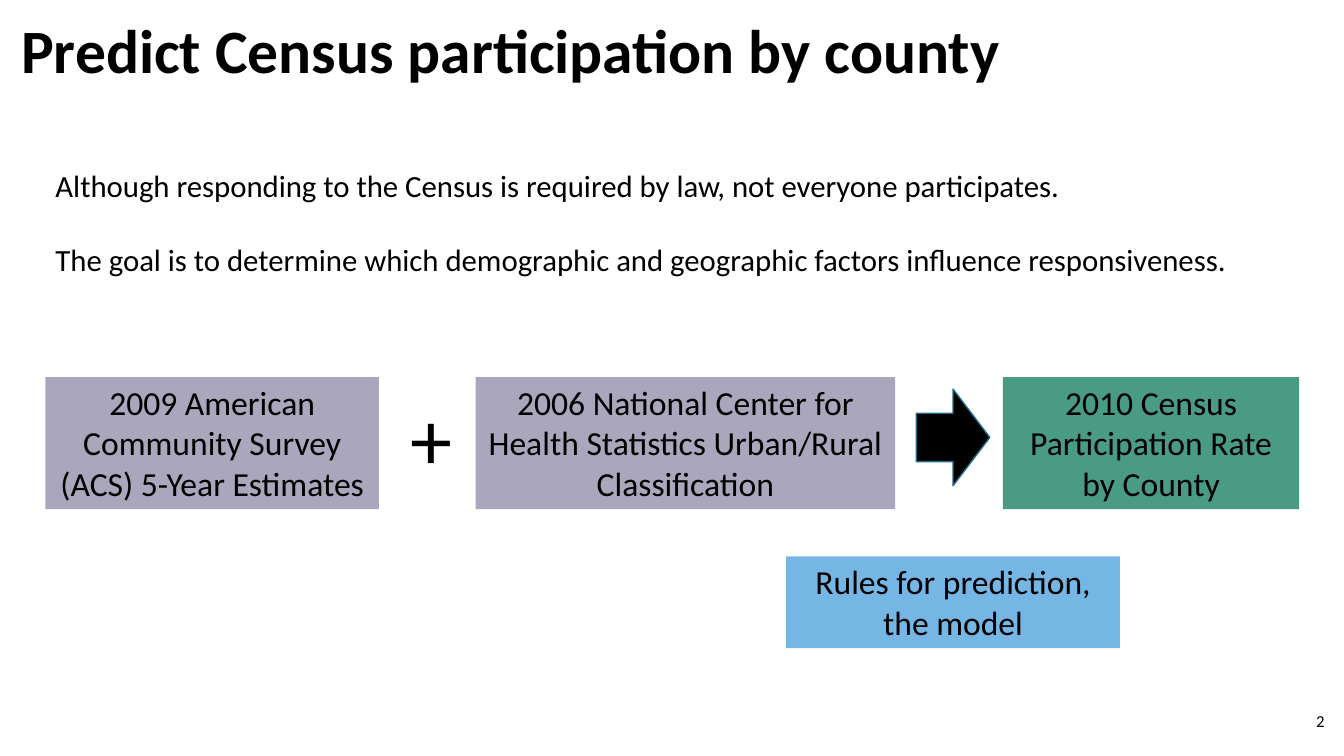
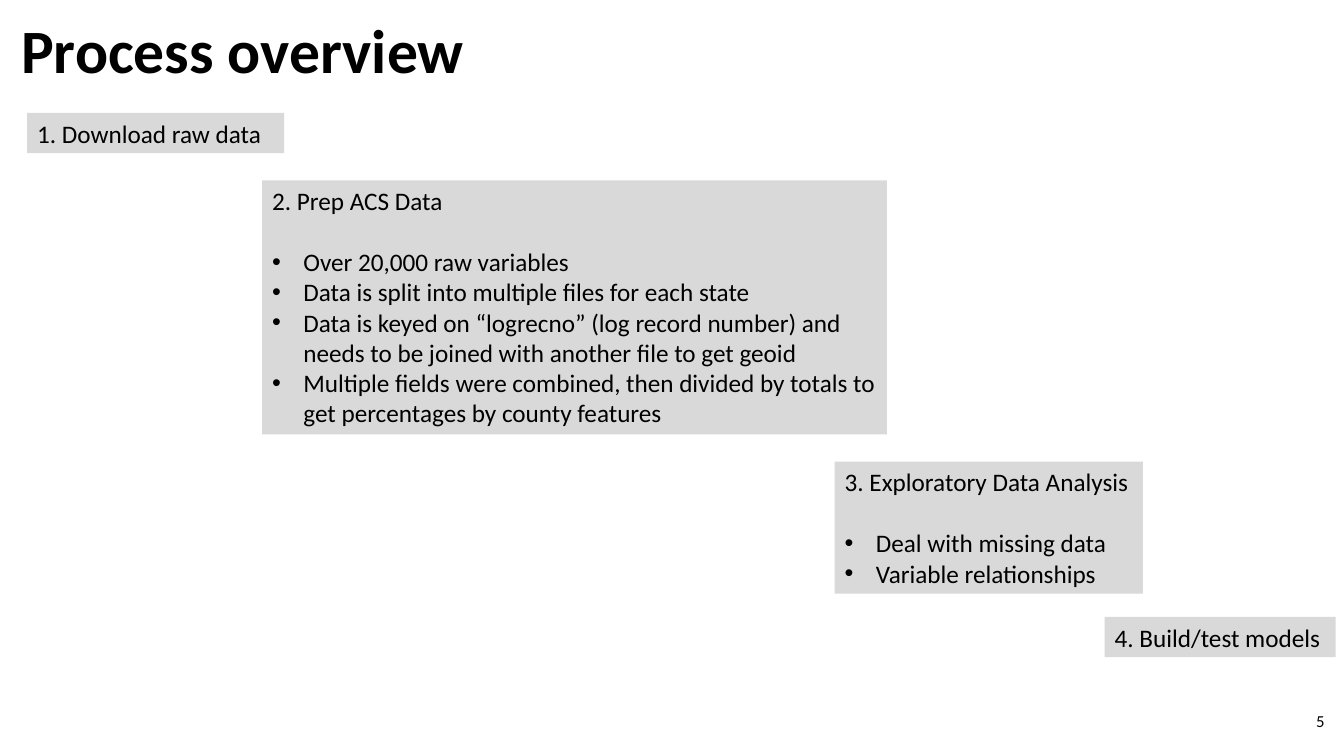
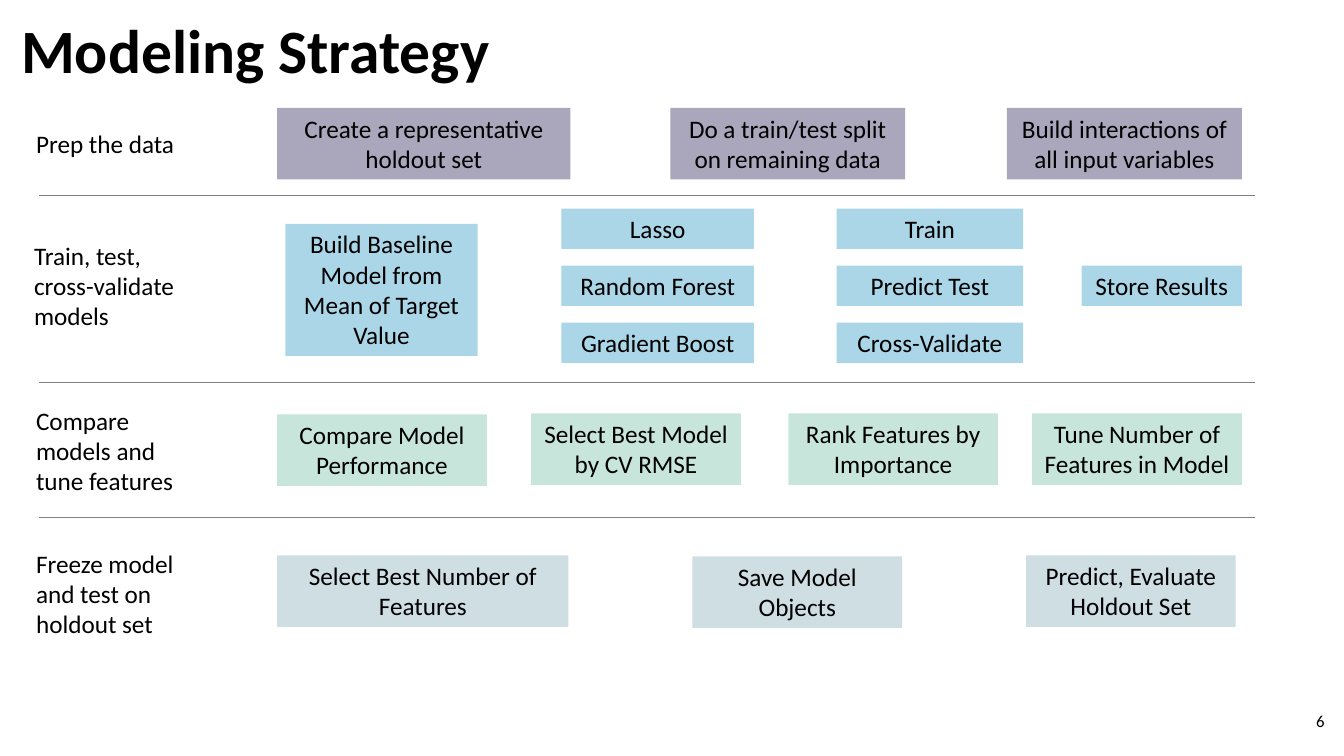
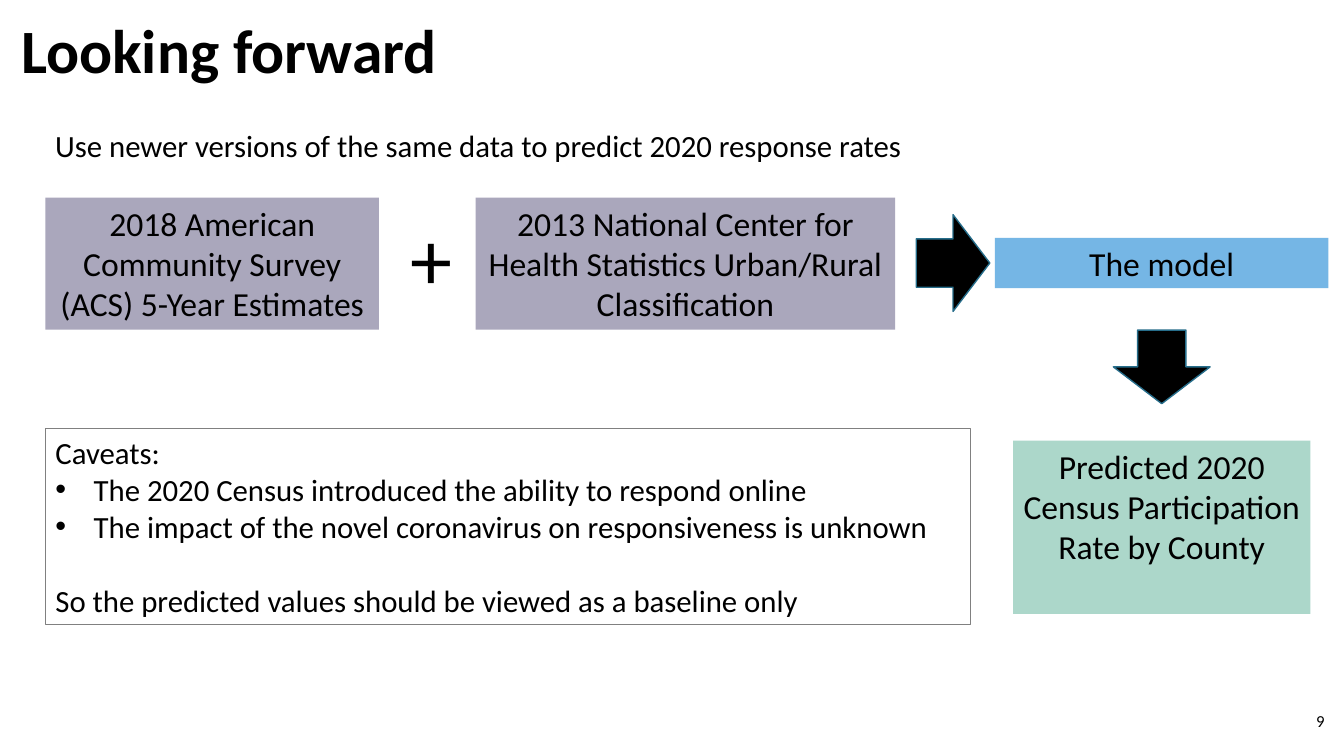
from dataclasses import dataclass
from typing import Optional

from lxml.etree import SubElement
from pptx import Presentation
from pptx.dml.color import RGBColor
from pptx.enum.shapes import MSO_CONNECTOR as Connector, MSO_SHAPE as Preset
from pptx.enum.text import MSO_ANCHOR as Anchor, MSO_AUTO_SIZE as AutoSize, PP_ALIGN as Align
from pptx.oxml.ns import qn
from pptx.slide import Slide
from pptx.util import Emu, Inches, Pt

BLACK = RGBColor(0x00, 0x00, 0x00)
MAUVE = RGBColor(0xAA, 0xA7, 0xBC)
GREEN = RGBColor(0x4A, 0x9B, 0x83)
SOFT_GREEN = RGBColor(0xAC, 0xD7, 0xCA)
PALE_GREEN = RGBColor(0xC8, 0xE5, 0xDC)
BLUE = RGBColor(0x75, 0xB6, 0xE5)
PALE_BLUE = RGBColor(0xAA, 0xD6, 0xE7)
MIST = RGBColor(0xCE, 0xDE, 0xE2)
LIGHT_GREY = RGBColor(0xD9, 0xD9, 0xD9)
GREY = RGBColor(0x80, 0x80, 0x80)
TEAL = RGBColor(0x26, 0x6D, 0x8A)

FONT = "Calibri"
LINE_HEIGHT = 1.22
SMALL, MEDIUM, LARGE = 18, 22, 24
TITLE_ONLY, ONE_BODY, TWO_BODIES = 5, 1, 3

prs = Presentation()
prs.slide_width, prs.slide_height = Inches(40 / 3), Inches(7.5)
CELL = prs.slide_width / 160


@dataclass(frozen=True)
class Area:
    col: float
    row: float
    cols: float
    rows: float

    def emu(self) -> tuple[Emu, ...]:
        return tuple(Emu(round(n * CELL)) for n in (self.col, self.row, self.cols, self.rows))


@dataclass(frozen=True)
class Line:
    text: str
    bullet: bool = False
    gap: bool = False


@dataclass(frozen=True)
class Box:
    area: Area
    lines: tuple[Line, ...]
    size: float = SMALL
    fill: Optional[RGBColor] = None
    border: Optional[RGBColor] = None
    align: Align = Align.CENTER
    hang: float = 0.31


@dataclass(frozen=True)
class Stage:
    label: str
    label_area: Area
    boxes: tuple[Box, ...]


TITLE_AREA = Area(1.32, 1.8, 138, 17.4)
NUMBER_AREA = Area(122.88, 83.4, 36, 4.8)


def lines(*texts: str) -> tuple[Line, ...]:
    return tuple(Line(t) for t in texts)


def add_run(p, text: str, size: float, bold: bool = False) -> None:
    r = p.add_run()
    r.text = text
    r.font.name, r.font.size, r.font.bold = FONT, Pt(size), bold
    r.font.color.rgb = BLACK


def set_bullet(p, bullet: bool, hang: float) -> None:
    pPr = p._p.get_or_add_pPr()
    indent = Inches(hang) if bullet else 0
    pPr.set("marL", str(indent))
    pPr.set("indent", str(-indent))
    if bullet:
        SubElement(pPr, qn("a:buFont")).set("typeface", "Arial")
        SubElement(pPr, qn("a:buChar")).set("char", "•")
    else:
        SubElement(pPr, qn("a:buNone"))


def fill_box(sp, box: Box) -> None:
    sp.left, sp.top, sp.width, sp.height = box.area.emu()
    if box.fill is not None:
        sp.fill.solid()
        sp.fill.fore_color.rgb = box.fill
    if box.border is not None:
        sp.line.color.rgb = box.border
        sp.line.width = Pt(0.75)
    tf = sp.text_frame
    tf.word_wrap, tf.auto_size, tf.vertical_anchor = True, AutoSize.NONE, Anchor.TOP
    for i, line in enumerate(box.lines):
        p = tf.add_paragraph() if i else tf.paragraphs[0]
        p.alignment = box.align
        p.space_before = Pt(round(box.size * LINE_HEIGHT, 1) if line.gap else 0)
        set_bullet(p, line.bullet, box.hang)
        add_run(p, line.text, box.size)


def add_text(s: Slide, box: Box):
    sp = s.shapes.add_textbox(*box.area.emu())
    fill_box(sp, box)
    return sp


def add_box(s: Slide, box: Box) -> None:
    sp = s.shapes.add_shape(Preset.RECTANGLE, *box.area.emu())
    sp.shadow.inherit = False
    sp.line.fill.background()
    fill_box(sp, box)


def add_arrow(s: Slide, col: float, row: float, rotation: float = 0) -> None:
    sp = s.shapes.add_shape(Preset.RIGHT_ARROW, *Area(col, row, 8.76, 11.52).emu())
    sp.rotation = rotation
    sp.shadow.inherit = False
    sp.fill.solid()
    sp.fill.fore_color.rgb = BLACK
    sp.line.color.rgb, sp.line.width = TEAL, Pt(1)


def add_rule(s: Slide, row: float) -> None:
    left, top, width, _ = Area(4.68, row, 144.72, 0).emu()
    rule = s.shapes.add_connector(Connector.STRAIGHT, left, top, left + width, top)
    rule.line.color.rgb, rule.line.width = GREY, Pt(0.5)
    SubElement(rule._element.spPr, qn("a:effectLst"))


def add_slide(title: str, number: int, layout: int, *bodies: Box) -> Slide:
    s = prs.slides.add_slide(prs.slide_layouts[layout])
    sp = s.shapes.title
    sp.left, sp.top, sp.width, sp.height = TITLE_AREA.emu()
    tf = sp.text_frame
    tf.word_wrap, tf.auto_size, tf.vertical_anchor = True, AutoSize.NONE, Anchor.TOP
    p = tf.paragraphs[0]
    p.alignment, p.line_spacing = Align.LEFT, 0.9
    add_run(p, title, 44, bold=True)
    for i, body in enumerate(bodies, 1):
        fill_box(s.placeholders[i], body)
    page = add_text(s, Box(NUMBER_AREA, lines(str(number)), 12, align=Align.RIGHT))
    page.text_frame.vertical_anchor = Anchor.MIDDLE
    return s


def add_inputs(s: Slide, row: float, arrow_row: float, survey: int, classes: int) -> None:
    add_box(s, Box(Area(5.4, row, 39.72, 15.72),
                   lines(f"{survey} American Community Survey (ACS) 5-Year Estimates"), LARGE, MAUVE))
    add_box(s, Box(Area(56.64, row, 49.92, 15.72),
                   lines(f"{classes} National Center for Health Statistics Urban/Rural Classification"),
                   LARGE, MAUVE))
    add_text(s, Box(Area(47.64, row + 0.5, 7.44, 13.32), lines("+"), 60))
    add_arrow(s, 109.08, arrow_row)


def build_goal() -> None:
    goal = Box(Area(5.4, 19.2, 149.28, 14.52), (
        Line("Although responding to the Census is required by law, not everyone participates."),
        Line("The goal is to determine which demographic and geographic factors influence responsiveness.",
             gap=True)), MEDIUM, align=Align.LEFT)
    s = add_slide("Predict Census participation by county", 2, ONE_BODY, goal)
    add_inputs(s, 44.88, 46.32, 2009, 2006)
    add_box(s, Box(Area(119.4, 44.88, 35.28, 15.72),
                   lines("2010 Census Participation Rate by County"), LARGE, GREEN))
    add_box(s, Box(Area(93.6, 66.24, 39.72, 10.92),
                   lines("Rules for prediction,", "the model"), LARGE, BLUE))


def step(area: Area, heading: str, *points: str) -> Box:
    bullets = tuple(Line(t, bullet=True, gap=i == 0) for i, t in enumerate(points))
    return Box(area, (Line(heading), *bullets), SMALL, LIGHT_GREY, align=Align.LEFT)


def build_process() -> None:
    prep = step(Area(31.2, 21.48, 74.4, 30.24), "2. Prep ACS Data",
                "Over 20,000 raw variables",
                "Data is split into multiple files for each state",
                "Data is keyed on “logrecno” (log record number) and needs to be joined "
                "with another file to get geoid",
                "Multiple fields were combined, then divided by totals to get percentages "
                "by county features")
    explore = step(Area(99.36, 54.96, 36.72, 15.72), "3. Exploratory Data Analysis",
                   "Deal with missing data", "Variable relationships")
    s = add_slide("Process overview", 5, TWO_BODIES, prep, explore)
    add_box(s, step(Area(3.24, 13.44, 30.6, 4.8), "1. Download raw data"))
    add_box(s, step(Area(131.52, 73.44, 27.48, 4.8), "4. Build/test models"))


def tile(col: float, row: float, cols: float, fill: RGBColor, text: str, rows: float = 8.52) -> Box:
    return Box(Area(col, row, cols, rows), lines(text), SMALL, fill)


def tag_column(col: float, cols: float, *texts: str) -> tuple[Box, ...]:
    return tuple(tile(col, 24.84 + 6.78 * i, cols, PALE_BLUE, t, 4.8) for i, t in enumerate(texts))


def build_strategy() -> None:
    stages = (
        Stage("Prep the data", Area(3.12, 14.64, 19.68, 4.8), (
            tile(33, 12.84, 34.92, MAUVE, "Create a representative holdout set"),
            tile(79.8, 12.84, 27.96, MAUVE, "Do a train/test split on remaining data"),
            tile(119.88, 12.84, 27.96, MAUVE, "Build interactions of all input variables"))),
        Stage("Train, test, cross-validate models", Area(2.88, 27.96, 19.68, 12.12), (
            tile(33.96, 26.64, 22.92, PALE_BLUE, "Build Baseline Model from Mean of Target Value", 15.72),
            *tag_column(66.84, 22.92, "Lasso", "Random Forest", "Gradient Boost"),
            *tag_column(99.6, 22.2, "Train", "Predict Test", "Cross-Validate"),
            tile(128.76, 31.62, 19.08, PALE_BLUE, "Store Results", 4.8))),
        Stage("Compare models and tune features", Area(3.12, 47.64, 19.68, 12.12), (
            tile(33, 49.32, 24.96, PALE_GREEN, "Compare Model Performance"),
            tile(63.24, 49.2, 24.96, PALE_GREEN, "Select Best Model by CV RMSE"),
            tile(93.84, 49.2, 24.96, PALE_GREEN, "Rank Features by Importance"),
            tile(122.88, 49.2, 24.96, PALE_GREEN, "Tune Number of Features in Model"))),
        Stage("Freeze model and test on holdout set", Area(3.12, 64.68, 19.68, 12.12), (
            tile(33, 66.12, 34.68, MIST, "Select Best Number of Features"),
            tile(82.44, 66.24, 24.96, MIST, "Save Model Objects"),
            tile(122.16, 66.12, 24.96, MIST, "Predict, Evaluate Holdout Set"))),
    )
    s = add_slide("Modeling Strategy", 6, TITLE_ONLY)
    for stage in stages:
        add_text(s, Box(stage.label_area, lines(stage.label), align=Align.LEFT))
        for box in stage.boxes:
            add_box(s, box)
    for row in (23.28, 45.48, 61.56):
        add_rule(s, row)


def build_outlook() -> None:
    caveats = Box(Area(5.4, 51, 110.16, 23.4), (
        Line("Caveats:"),
        Line("The 2020 Census introduced the ability to respond online", bullet=True),
        Line("The impact of the novel coronavirus on responsiveness is unknown", bullet=True),
        Line("So the predicted values should be viewed as a baseline only", gap=True)),
        MEDIUM, border=GREY, align=Align.LEFT, hang=0.38)
    s = add_slide("Looking forward", 9, ONE_BODY, caveats)
    add_text(s, Box(Area(5.4, 14.52, 149.28, 5.64),
                    lines("Use newer versions of the same data to predict 2020 response rates"),
                    MEDIUM, align=Align.LEFT))
    add_inputs(s, 23.52, 25.56, 2018, 2013)
    add_box(s, Box(Area(118.44, 28.32, 39.72, 6), lines("The model"), LARGE, BLUE))
    add_arrow(s, 133.92, 37.92, rotation=90)
    add_box(s, Box(Area(120.6, 52.44, 35.4, 20.64),
                   lines("Predicted 2020 Census Participation Rate by County"), LARGE, SOFT_GREEN))


build_goal()
build_process()
build_strategy()
build_outlook()
prs.save("out.pptx")
